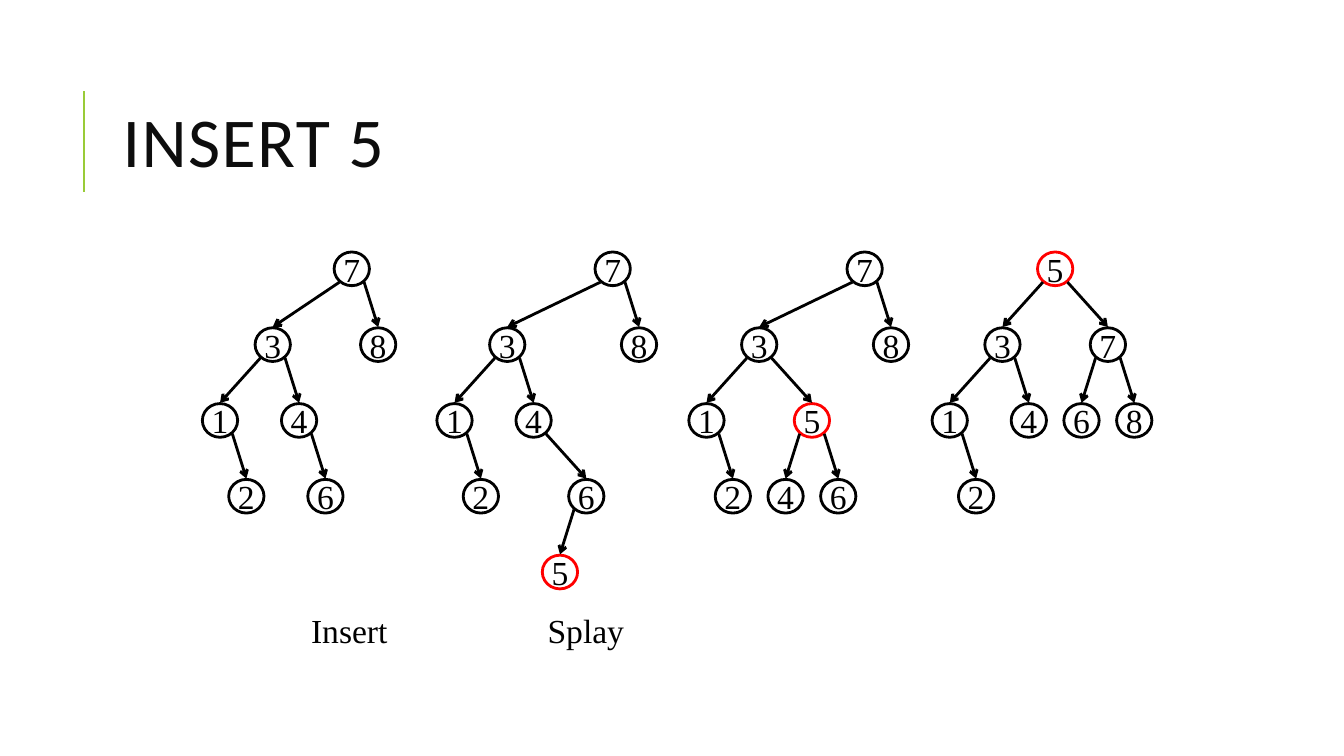
from lxml import etree
from pptx import Presentation
from pptx.dml.color import RGBColor as RGB
from pptx.enum.shapes import MSO_CONNECTOR as CONN, MSO_SHAPE as SHAPE
from pptx.enum.text import MSO_ANCHOR as ANCHOR, MSO_AUTO_SIZE as AUTO, PP_ALIGN as ALIGN
from pptx.oxml.ns import qn
from pptx.util import Cm, Pt

COLORS = {"accent": "99CB38", "title": "0D0D0D", "ink": "000000", "new": "FF0000"}
NODE_W, NODE_H = 0.89, 0.85
COL, ROW, TOP = 4.65 / 7, 1.91, 6.35     # eight keys span 4.65 cm


class Deck:
    title_font, body_font = "Calibri", "Times New Roman"
    title_size, body_size, line_width = 50, 24, 2

    def __init__(self, slide):
        self.slide = slide

    def color(self, name):
        return RGB.from_string(COLORS[name])

    def set_text(self, sp, text, font, size, color):
        tf = sp.text_frame
        tf.text = text
        p = tf.paragraphs[0]
        r = p.runs[0]
        r.font.name, r.font.size = font, Pt(size)
        r.font.color.rgb = self.color(color)
        return tf, p, r

    def title(self, text, x, y, w, h):
        sp = self.slide.shapes.add_textbox(Cm(x), Cm(y), Cm(w), Cm(h))
        tf, p, r = self.set_text(sp, text, self.title_font, self.title_size, "title")
        tf.word_wrap, tf.vertical_anchor = True, ANCHOR.MIDDLE
        p.line_spacing = 0.8
        r.font._element.set("spc", "100")

    def label(self, text, x, y, w, h):
        sp = self.slide.shapes.add_textbox(Cm(x), Cm(y), Cm(w), Cm(h))
        tf = self.set_text(sp, text, self.body_font, self.body_size, "ink")[0]
        tf.word_wrap, tf.auto_size = False, AUTO.SHAPE_TO_FIT_TEXT

    def line(self, shapes, x1, y1, x2, y2, color="ink", width=line_width, arrow=False):
        sp = shapes.add_connector(CONN.STRAIGHT, Cm(x1), Cm(y1), Cm(x2), Cm(y2))
        sp.line.color.rgb, sp.line.width = self.color(color), Pt(width)
        spPr = sp._element.spPr
        if arrow:
            etree.SubElement(spPr.find(qn("a:ln")), qn("a:tailEnd"), type="arrow")
        etree.SubElement(spPr, qn("a:effectLst"))

    def node(self, shapes, key, x, y, color):
        sp = shapes.add_shape(SHAPE.OVAL, Cm(x), Cm(y), Cm(NODE_W), Cm(NODE_H))
        sp.shadow.inherit = False
        sp.fill.background()
        sp.line.color.rgb, sp.line.width = self.color(color), Pt(self.line_width)
        tf, p, r = self.set_text(sp, str(key), self.body_font, self.body_size, "ink")
        tf.word_wrap, tf.vertical_anchor = False, ANCHOR.MIDDLE
        p.alignment = ALIGN.CENTER

    def tree(self, left, parents, new=5):
        """Place each key by its rank (column) and its depth (row)."""
        shapes = self.slide.shapes.add_group_shape().shapes

        def depth(key):
            return 0 if parents[key] is None else 1 + depth(parents[key])

        spots = {key: (left + rank * COL, TOP + depth(key) * ROW)
                 for rank, key in enumerate(sorted(parents))}
        for key, (x, y) in spots.items():
            self.node(shapes, key, x, y, "new" if key == new else "ink")
        for child, parent in parents.items():
            if parent is None:
                continue
            (px, py), (cx, cy) = spots[parent], spots[child]
            side = 0.31 if child > parent else -0.31
            self.line(shapes, px + NODE_W / 2 + side, py + 0.76,
                      cx + NODE_W / 2, cy - 0.02, arrow=True)


prs = Presentation()
prs.slide_width, prs.slide_height = Cm(33.87), Cm(19.05)
deck = Deck(prs.slides.add_slide(prs.slide_layouts[6]))

# Heading with its accent rule
deck.line(deck.slide.shapes, 2.12, 4.83, 2.12, 2.29, "accent", 1.5)
deck.title("INSERT 5", 2.84, 1.63, 27, 4.17)

# Trees: left edge, then each key with its parent
TREES = [
    (5.1, {7: None, 3: 7, 8: 7, 1: 3, 4: 3, 2: 1, 6: 4}),
    (11.01, {7: None, 3: 7, 8: 7, 1: 3, 4: 3, 2: 1, 6: 4, 5: 6}),
    (17.36, {7: None, 3: 7, 8: 7, 1: 3, 5: 3, 2: 1, 4: 5, 6: 5}),
    (23.49, {5: None, 3: 5, 7: 5, 1: 3, 4: 3, 6: 7, 8: 7, 2: 1}),
]
for left, parents in TREES:
    deck.tree(left, parents)

# Step labels
for text, x in (("Insert", 7.59), ("Splay", 13.55)):
    deck.label(text, x, 15.24, 2.44, 1.27)

prs.save("out.pptx")
